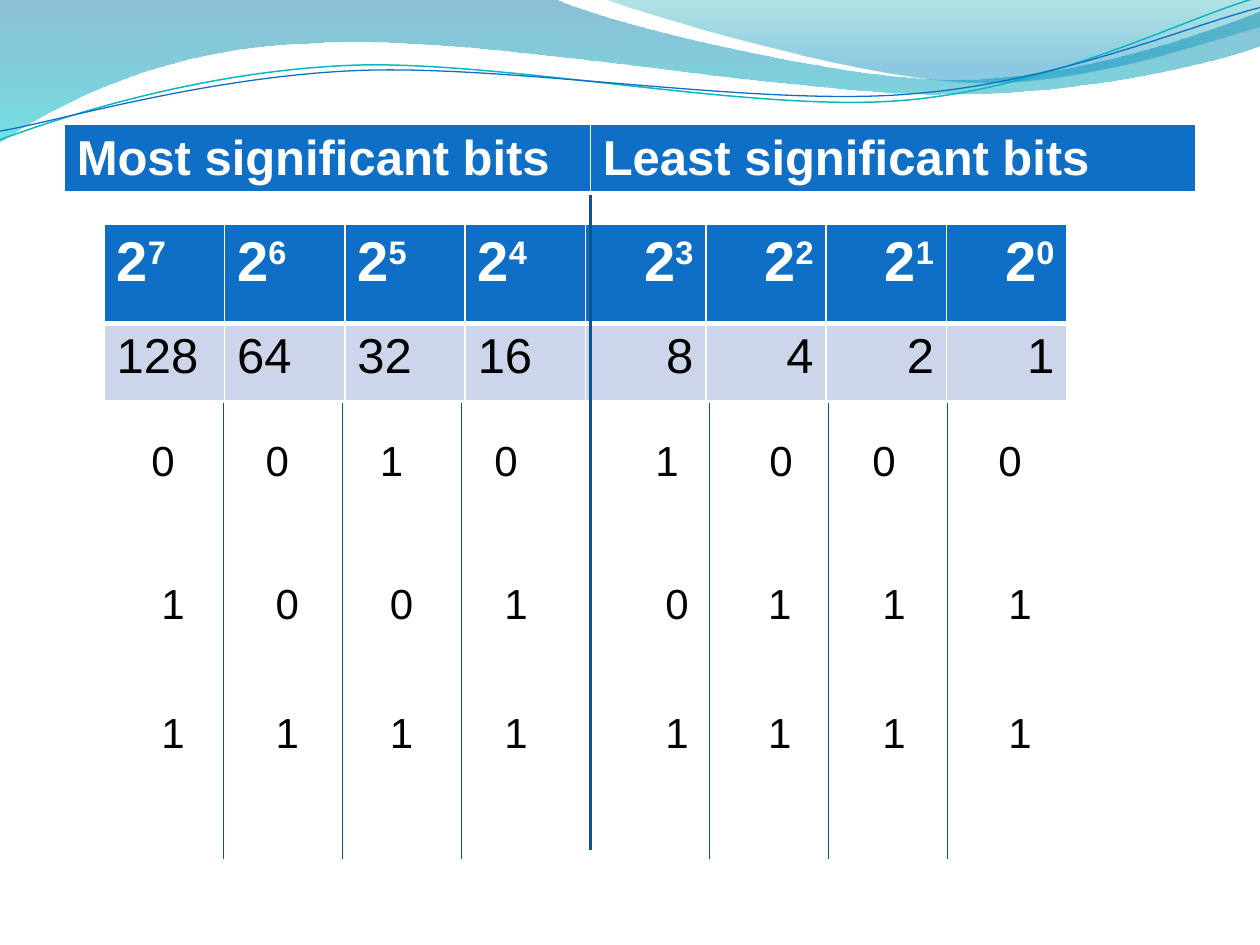
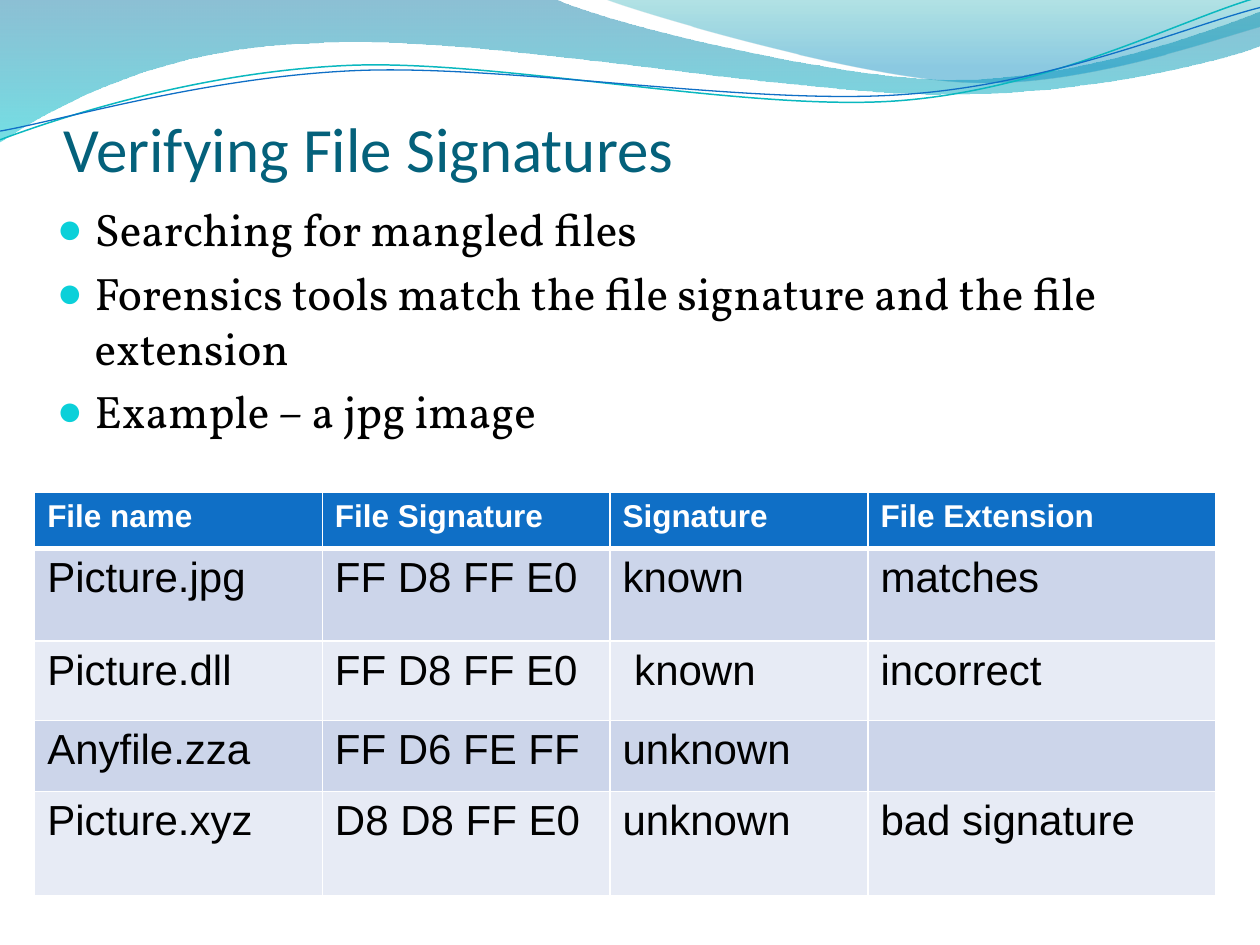
from dataclasses import dataclass

import lxml.etree
import pptx
import pptx.dml.color
import pptx.enum.shapes
import pptx.enum.text
import pptx.oxml.ns
import pptx.slide
import pptx.util

Pt = pptx.util.Pt
qn = pptx.oxml.ns.qn
ALIGN = pptx.enum.text.PP_ALIGN

BLUE, TEAL, NAVY = "0F6FC6", "0AB8BF", "095295"
WHITE, BLACK = "FFFFFF", "000000"
BAND_DARK, BAND_LIGHT = "CCD5EA", "E7EBF5"
TITLE, BULLET = "04617B", "0BD0D9"


@dataclass
class Stop:
    position: float
    color: str
    alpha: int


@dataclass
class Wave:
    start: tuple[float, float]
    segments: list[tuple[float, ...]]
    stops: tuple[Stop, ...] = ()
    line: str = ""
    width: float = 0


@dataclass
class RowStyle:
    size: float
    fill: str
    color: str = BLACK
    bold: bool = False
    bottom: float = 1


@dataclass
class Grid:
    left: float
    top: float
    widths: list[float]
    heights: list[float]
    rows: list[list[str]]
    styles: list[RowStyle]
    right_from: int = 99


@dataclass
class BitRow:
    left: float
    top: float
    bits: str
    sixth_tab: float = 373


WAVES = [
    Wave((0, 0), [
        (316.8, -0.7),
        (342.7, 12.2, 478.1, 45.4, 545.8, 45.4),
        (614.2, 45.4, 689.8, 18.7, 720, 6.5),
        (720.7, 25.9),
        (707.8, 31.7, 626.4, 54.7, 537.1, 54),
        (447.8, 54, 275, 20.2, 185, 24.5),
        (92.9, 25.9, 33.1, 59.8, -0.7, 81.4),
    ], stops=(Stop(0, "0074A1", 45), Stop(1, "00C6CF", 55))),
    Wave((344.9, -0.7), [
        (366.5, 7.9, 491, 44.6, 553.7, 46.8),
        (616.3, 49.7, 691.9, 23, 720, 15.1),
        (720, 0),
    ], stops=(Stop(0, "00A1A9", 30), Stop(0.8, "008BBF", 45))),
    Wave((0, 79.9), [
        (34.6, 67, 113.8, 41, 199.4, 37.4),
        (284.4, 33.8, 427, 64.1, 513.4, 57.6),
        (599.8, 51.1, 675.4, 10.8, 718.6, -1.4),
    ], line=TEAL, width=0.85),
    Wave((0, 74.9), [
        (33.8, 69.1, 118.1, 43.9, 203.8, 40.3),
        (290.2, 36.7, 429.8, 60.5, 516.2, 54),
        (601.9, 48.2, 677.5, 15.1, 720, 4.3),
    ], line=BLUE, width=0.75),
]

SIGNIFICANCE = Grid(
    36.7, 71.2, [300.6, 345.8], [39],
    [["Most significant bits", "Least significant bits"]],
    [RowStyle(28, BLUE, WHITE, True, 3)],
)
POWERS = Grid(
    59.5, 128.2, [68.78] * 8, [56.6, 44.2],
    [[f"2^{n}" for n in range(7, -1, -1)], [str(2 ** n) for n in range(7, -1, -1)]],
    [RowStyle(32, BLUE, WHITE, True, 3), RowStyle(28, BAND_DARK)],
    right_from=4,
)
BIT_ROWS = [
    BitRow(59.8, 244.8, "00101000", sixth_tab=379.4),
    BitRow(65.5, 326.6, "10010111"),
    BitRow(65.5, 400.3, "11111111"),
]
SIGNATURES = Grid(
    19.8, 281.5, [164.4, 164.4, 147.4, 198.6], [32, 52.9, 45.3, 40.6, 59.6],
    [
        ["File name", "File Signature", "Signature", "File Extension"],
        ["Picture.jpg", "FF D8 FF E0", "known", "matches"],
        ["Picture.dll", "FF D8 FF E0", " known", "incorrect"],
        ["Anyfile.zza", "FF D6 FE FF", "unknown", ""],
        ["Picture.xyz", "D8 D8 FF E0", "unknown", "bad signature"],
    ],
    [RowStyle(18, BLUE, WHITE, True, 3)]
    + [RowStyle(24, BAND_DARK), RowStyle(24, BAND_LIGHT)] * 2,
)
POINTS = [
    "Searching for mangled files",
    "Forensics tools match the file signature and the file extension",
    "Example – a jpg image",
]


def rgb(value: str) -> pptx.dml.color.RGBColor:
    return pptx.dml.color.RGBColor.from_string(value)


def sub(parent, tag: str, **attrs):
    return lxml.etree.SubElement(parent, qn(tag), {k: str(v) for k, v in attrs.items()})


def set_font(p, name: str, size: float, color: str, bold: bool = False) -> None:
    p.font.name = name
    p.font.size = Pt(size)
    p.font.bold = bold
    p.font.color.rgb = rgb(color)


def bend(sp, segments: list[tuple[float, ...]]) -> None:
    corners = list(sp.element.spPr.iter(qn("a:lnTo")))
    for corner, seg in zip(corners, segments):
        if len(seg) == 6:
            curve = lxml.etree.Element(qn("a:cubicBezTo"))
            for x, y in zip(seg[::2], seg[1::2]):
                sub(curve, "a:pt", x=Pt(x) - sp.left, y=Pt(y) - sp.top)
            corner.getparent().replace(corner, curve)


def add_wave(s: pptx.slide.Slide, wave: Wave):
    x, y = wave.start
    fb = s.shapes.build_freeform(Pt(x), Pt(y), scale=1.0)
    fb.add_line_segments([(Pt(seg[-2]), Pt(seg[-1])) for seg in wave.segments],
                         close=bool(wave.stops))
    sp = fb.convert_to_shape()
    bend(sp, wave.segments)
    sp.shadow.inherit = False
    if not wave.stops:
        sp.fill.background()
        sp.line.color.rgb = rgb(wave.line)
        sp.line.width = Pt(wave.width)
        return sp
    sp.fill.gradient()
    sp.fill.gradient_angle = 270
    for gs, stop in zip(sp.fill.gradient_stops, wave.stops):
        gs.position = stop.position
        gs.color.rgb = rgb(stop.color)
    for clr, stop in zip(sp.element.spPr.iter(qn("a:srgbClr")), wave.stops):
        sub(clr, "a:alpha", val=stop.alpha * 1000)
    sp.line.fill.background()
    return sp


def share_waves(s: pptx.slide.Slide) -> None:
    for wave in WAVES:
        s.slide_layout.shapes.element.append(add_wave(s, wave).element)


def add_text(s: pptx.slide.Slide, left: float, top: float, width: float, height: float):
    tf = s.shapes.add_textbox(Pt(left), Pt(top), Pt(width), Pt(height)).text_frame
    tf.word_wrap = True
    return tf


def style_cell(cell, style: RowStyle) -> None:
    tcPr = cell._tc.get_or_add_tcPr()
    for side in "LRTB":
        width = style.bottom if side == "B" else 1
        ln = sub(tcPr, f"a:ln{side}", w=Pt(width))
        sub(sub(ln, "a:solidFill"), "a:srgbClr", val=WHITE)
    cell.fill.solid()
    cell.fill.fore_color.rgb = rgb(style.fill)


def add_grid(s: pptx.slide.Slide, grid: Grid) -> None:
    table = s.shapes.add_table(
        len(grid.heights), len(grid.widths), Pt(grid.left), Pt(grid.top),
        Pt(sum(grid.widths)), Pt(sum(grid.heights))).table
    for col, width in zip(table.columns, grid.widths):
        col.width = Pt(width)
    for row, height, texts, style in zip(table.rows, grid.heights, grid.rows, grid.styles):
        row.height = Pt(height)
        for i, (cell, text) in enumerate(zip(row.cells, texts)):
            style_cell(cell, style)
            p = cell.text_frame.paragraphs[0]
            p.alignment = ALIGN.RIGHT if i >= grid.right_from else ALIGN.LEFT
            set_font(p, "Arial", style.size, style.color, style.bold)
            base, _, power = text.partition("^")
            if base:
                p.add_run().text = base
            if power:
                r = p.add_run()
                r.text = power
                r._r.get_or_add_rPr().set("baseline", "30000")


def add_bits(s: pptx.slide.Slide, row: BitRow) -> None:
    p = add_text(s, row.left, row.top, 556, 36).paragraphs[0]
    tabs = sub(p._p.get_or_add_pPr(), "a:tabLst")
    for x in (26.3, 91.6, 156.8, 222.3, 314.3, row.sixth_tab, 438.3, 510.3):
        sub(tabs, "a:tab", pos=Pt(x), algn="ctr")
    p.add_run().text = "".join(f"\t{bit}" for bit in row.bits)
    set_font(p, "Arial", 24, BLACK)


def add_divider(s: pptx.slide.Slide, x: float, top: float, bottom: float, width: float) -> None:
    line = s.shapes.add_connector(
        pptx.enum.shapes.MSO_CONNECTOR.STRAIGHT, Pt(x), Pt(top), Pt(x), Pt(bottom))
    line.line.color.rgb = rgb(NAVY)
    line.line.width = Pt(width)
    sub(line._element.spPr, "a:effectLst")


def add_title(s: pptx.slide.Slide, text: str) -> None:
    tf = add_text(s, 36.3, 55.4, 648, 50.4)
    tf.margin_left = tf.margin_right = tf.margin_bottom = 0
    tf.vertical_anchor = pptx.enum.text.MSO_ANCHOR.BOTTOM
    p = tf.paragraphs[0]
    p.add_run().text = text
    set_font(p, "Calibri", 36, TITLE)


def add_bullets(s: pptx.slide.Slide, texts: list[str]) -> None:
    tf = add_text(s, 25.4, 111.6, 658.8, 386.6)
    for i, text in enumerate(texts):
        p = tf.add_paragraph() if i else tf.paragraphs[0]
        pPr = p._p.get_or_add_pPr()
        pPr.set("marL", str(Pt(21.6)))
        pPr.set("indent", str(-Pt(21.6)))
        sub(sub(pPr, "a:buClr"), "a:srgbClr", val=BULLET)
        sub(pPr, "a:buSzPct", val=95000)
        sub(pPr, "a:buFont", typeface="Arial")
        sub(pPr, "a:buChar", char="●")
        if i:
            p.space_before = Pt(5.2)
        p.add_run().text = text
        set_font(p, "Vollkorn", 26, BLACK)


def build_bits_slide(s: pptx.slide.Slide) -> None:
    add_grid(s, SIGNIFICANCE)
    add_grid(s, POWERS)
    for row in BIT_ROWS:
        add_bits(s, row)
    middle, step = 337.5, 68
    add_divider(s, middle, 111.6, 485.5, 2)
    for i in range(3):
        add_divider(s, 127.7 + i * step, 230.4, 490.8, 0.75)
        add_divider(s, middle + (i + 1) * step, 230.4, 490.8, 0.75)


def build_signatures_slide(s: pptx.slide.Slide) -> None:
    add_title(s, "Verifying File Signatures")
    add_bullets(s, POINTS)
    add_grid(s, SIGNATURES)


def main() -> None:
    prs = pptx.Presentation()
    prs.slide_width, prs.slide_height = Pt(720), Pt(540)
    blank = prs.slide_layouts[6]
    bits, signatures = (prs.slides.add_slide(blank) for _ in range(2))
    share_waves(bits)
    build_bits_slide(bits)
    build_signatures_slide(signatures)
    prs.save("out.pptx")


if __name__ == "__main__":
    main()
